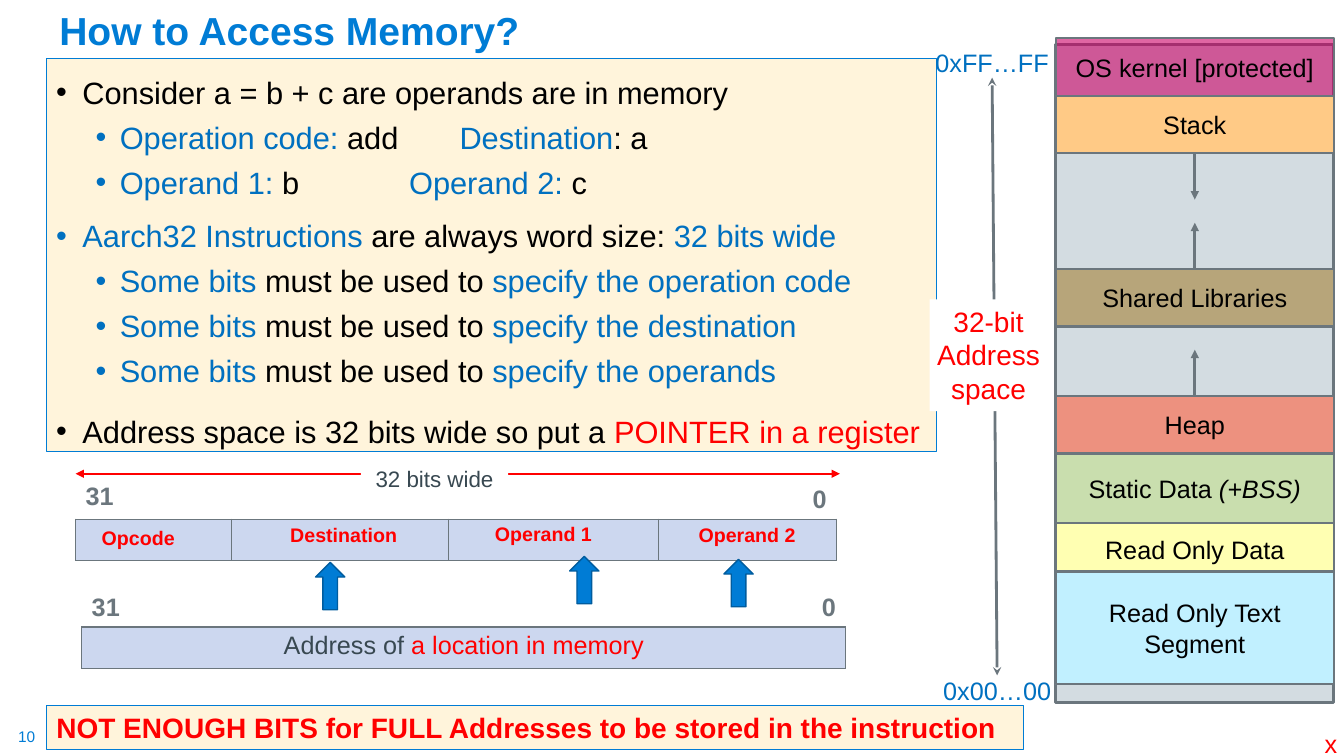
from lxml import etree
from pptx import Presentation
from pptx.dml.color import RGBColor
from pptx.enum.shapes import MSO_CONNECTOR, MSO_SHAPE
from pptx.enum.text import MSO_ANCHOR, PP_ALIGN
from pptx.oxml import parse_xml
from pptx.oxml.ns import nsdecls, qn
from pptx.util import Inches, Pt

RECT, UP = MSO_SHAPE.RECTANGLE, MSO_SHAPE.UP_ARROW
STRAIGHT = MSO_CONNECTOR.STRAIGHT
TOP, MID, LOW = MSO_ANCHOR.TOP, MSO_ANCHOR.MIDDLE, MSO_ANCHOR.BOTTOM
LEFT, MIDDLE, RIGHT = PP_ALIGN.LEFT, PP_ALIGN.CENTER, PP_ALIGN.RIGHT
FONT = "Arial"
HEX = {
    "white": "FFFFFF", "black": "000000", "red": "FF0000", "blue": "007CD5",
    "navy": "005C9E", "ink": "0070C0", "gray": "6B767D", "slate": "384851",
    "cream": "FFF4DB", "field": "CCD7EF", "gap": "D3DCE1", "kernel": "CC0066",
    "stack": "FFCA86", "libs": "B7A57A", "heap": "ED917F", "data": "C9DEAE",
    "const": "FFFFB2", "code": "C1F0FF",
}


def rgb(name):
    return RGBColor.from_string(HEX[name])


def add_runs(para, runs, size, bold=False, align=LEFT):
    """Add (text, colour) runs to a paragraph."""
    para.alignment = align
    for words, color in runs:
        run = para.add_run()
        run.text = words
        font = run.font
        font.name, font.size, font.bold = FONT, Pt(size), bold
        font.color.rgb = rgb(color)


def set_frame(shape, inset=(0.1, 0.05), anchor=TOP, wrap=True):
    frame = shape.text_frame
    frame.word_wrap, frame.vertical_anchor = wrap, anchor
    frame.margin_left = frame.margin_right = Inches(inset[0])
    frame.margin_top = frame.margin_bottom = Inches(inset[1])
    return frame


def add_text(slide, box, runs, size, bold=False, align=LEFT, **frame):
    shape = slide.shapes.add_textbox(*map(Inches, box))
    para = set_frame(shape, **frame).paragraphs[0]
    add_runs(para, runs, size, bold, align)
    return para


def add_block(slide, box, fill, line=None, width=1, kind=RECT):
    shape = slide.shapes.add_shape(kind, *map(Inches, box))
    shape.shadow.inherit = False
    shape.fill.solid()
    shape.fill.fore_color.rgb = rgb(fill)
    if line:
        shape.line.color.rgb = rgb(line)
        shape.line.width = Pt(width)
    else:
        shape.line.fill.background()
    return shape


def add_arrow(slide, start, end, color, width, head=None, tail=None):
    arrow = slide.shapes.add_connector(STRAIGHT, *map(Inches, start + end))
    arrow.line.color.rgb = rgb(color)
    arrow.line.width = Pt(width)
    line = arrow.line._get_or_add_ln()
    for tag, kind in (("a:headEnd", head), ("a:tailEnd", tail)):
        if kind:
            etree.SubElement(line, qn(tag), type=kind)
    etree.SubElement(arrow._element.spPr, qn("a:effectLst"))


def add_table(slide, box, cols):
    """Add a two-row table: bit numbers above, filled fields below."""
    table = slide.shapes.add_table(2, len(cols), *map(Inches, box)).table
    table.first_row = table.horz_banding = False
    for col, width in zip(table.columns, cols):
        col.width = Inches(width)
    for row, edge in enumerate(("white", "gray")):
        for col in range(len(cols)):
            cell = table.cell(row, col)
            if row:
                cell.fill.solid()
                cell.fill.fore_color.rgb = rgb("field")
            else:
                cell.fill.background()
            props = cell._tc.get_or_add_tcPr()
            for spot, side in enumerate("LRTB"):
                color = HEX["gray" if side == "B" else edge]
                props.insert(spot, parse_xml(
                    f'<a:ln{side} {nsdecls("a")} w="12700"><a:solidFill>'
                    f'<a:srgbClr val="{color}"/></a:solidFill></a:ln{side}>'))
    return table


def fill_cell(cell, runs, align=LEFT, anchor=TOP, bold=True):
    cell.vertical_anchor = anchor
    add_runs(cell.text_frame.paragraphs[0], runs, 18, bold, align)


def add_body(slide, box):
    shape = add_block(slide, box, "cream", "blue", 0.75)
    frame = set_frame(shape, inset=(0.1, 0.08))
    bits = [(1, 1, [("Some bits ", "ink"), ("must be used to ", "black"),
                    ("specify the " + part, "ink")])
            for part in ("operation code", "destination", "operands")]
    lines = [
        (0, 1.2, [("Consider a = b + c are operands are in memory", "black")]),
        (1, 1, [("Operation code: ", "ink"), ("add \t\t", "black"),
                ("Destination", "ink"), (": a", "black")]),
        (1, 1, [("Operand 1: ", "ink"), ("b\t\t\t", "black"),
                ("Operand 2: ", "ink"), ("c", "black")]),
        (0, 1, [("Aarch32 Instructions ", "ink"),
                ("are always word size: ", "black"), ("32 bits wide", "ink")]),
        *bits,
        (0, 1.2, [("Address space is 32 bits wide so put a ", "black"),
                  ("POINTER in a register", "red")]),
    ]
    for row, (level, lead, runs) in enumerate(lines):
        para = frame.add_paragraph() if row else frame.paragraphs[0]
        left, hang = ((0.26, -0.26), (0.63, -0.24))[level]
        para.level, para.line_spacing = level, lead
        para.space_before = Pt((11.5, 5.75)[level] if row else 0)
        props = para._p.get_or_add_pPr()
        props.set("marL", str(Inches(left)))
        props.set("indent", str(Inches(hang)))
        etree.SubElement(props, qn("a:buFont"), typeface=FONT)
        etree.SubElement(props, qn("a:buChar"), char="•")
        add_runs(para, runs, 22)


def add_word(slide, x, y):
    """Draw the instruction word and the address that does not fit in it."""
    top = add_table(slide, (x, y, 7.55, 0.82), (1.55, 2.15, 0.39, 1.69, 1.77))
    for row, first, last in ((0, 0, 2), (0, 3, 4), (1, 2, 3)):
        top.cell(row, first).merge(top.cell(row, last))
    low = add_table(slide, (x + 0.06, y + 1.07, 7.58, 0.82), (3.79, 3.79))
    low.cell(1, 0).merge(low.cell(1, 1))
    fill_cell(top.cell(0, 0), [("31", "gray")])
    fill_cell(top.cell(0, 3), [("0", "gray")], RIGHT, LOW)
    fill_cell(low.cell(0, 0), [("31", "gray")], anchor=LOW)
    fill_cell(low.cell(0, 1), [("0", "gray")], RIGHT, LOW)
    fill_cell(low.cell(1, 0), [("Address of ", "slate"),
                               ("a location in memory", "red")], MIDDLE, bold=False)

    for name, dx, dy in (("Opcode", 0.16, 0.43), ("Destination", 2.03, 0.4),
                         ("Operand 1", 4.06, 0.39), ("Operand 2", 6.08, 0.4)):
        add_text(slide, (x + dx, y + dy, 1.46, 0.34), [(name, "red")], 14, True)
    for dx, dy in ((2.38, 0.84), (4.9, 0.78), (6.43, 0.81)):
        add_block(slide, (x + dx, y + dy, 0.29, 0.47), "blue", "navy", kind=UP)

    add_arrow(slide, (x, y - 0.04), (x + 7.58, y - 0.04), "red", 1.5,
              "triangle", "triangle")
    label = add_block(slide, (x + 2.83, y - 0.17, 1.46, 0.37), "white")
    add_runs(set_frame(label).paragraphs[0], [("32 bits wide", "slate")], 16,
             align=MIDDLE)


def add_range(slide, x, y):
    """Draw the address range beside the memory map."""
    for words, dx, dy, wide in (("0xFF…FF", 0, 0, 1.4), ("0x00…00", 0.1, 6.23, 1.3)):
        add_text(slide, (x + dx, y + dy, wide, 0.3), [(words, "ink")], 18,
                 align=MIDDLE, inset=(0.1, 0))
    add_arrow(slide, (x + 0.7, y + 0.3), (x + 0.75, y + 6.23), "gray", 2,
              "stealth", "stealth")
    label = add_block(slide, (x + 0.08, y + 2.5, 1.17, 1.11), "white")
    add_runs(set_frame(label, inset=(0.05, 0.05)).paragraphs[0],
             [("32-bit Address space", "red")], 20, align=MIDDLE)


def add_map(slide, x, y, wide):
    add_block(slide, (x, y + 0.06, wide, 6.53), "gap", "gray", 2)
    parts = (
        ("OS kernel [protected]", "kernel", 0, 0.57), ("Stack", "stack", 0.57, 0.57),
        ("Heap", "heap", 3.55, 0.57), ("Static Data", "data", 4.12, 0.69),
        ("Shared Libraries", "libs", 2.29, 0.57),
        ("Read Only Data", "const", 4.81, 0.52),
        ("Read Only Text Segment", "code", 5.29, 1.12),
    )
    for name, fill, dy, high in parts:
        part = add_block(slide, (x, y + dy, wide, high), fill, "gray", 1.5)
        para = set_frame(part, anchor=MID).paragraphs[0]
        add_runs(para, [(name, "black")], 18, align=MIDDLE)
        if fill == "kernel":
            tint = part._element.spPr.find(qn("a:solidFill"))[0]
            etree.SubElement(tint, qn("a:alpha"), val="60000")
        if fill == "data":
            add_runs(para, [(" (+BSS)", "black")], 18, align=MIDDLE)
            para.runs[-1].font.italic = True
    mid = x + wide / 2
    for dy, head, tail in ((1.14, None, "triangle"), (1.83, "triangle", None),
                           (3.09, "triangle", None)):
        add_arrow(slide, (mid, y + dy), (mid, y + dy + 0.46), "gray", 2, head, tail)


def main():
    deck = Presentation()
    deck.slide_width, deck.slide_height = Inches(13.33), Inches(7.5)
    slide = deck.slides.add_slide(deck.slide_layouts[6])
    add_text(slide, (0.18, 7.21, 0.19, 0.19), [("10", "blue")], 11,
             inset=(0, 0), wrap=False)
    title = add_text(slide, (0.49, 0.04, 11.5, 0.54),
                     [("How to Access Memory?", "blue")], 27.9, True, anchor=LOW)
    title.line_spacing = 0.9
    add_body(slide, (0.46, 0.58, 8.83, 3.9))
    add_word(slide, 0.75, 4.74)
    note = add_block(slide, (0.46, 7, 9.69, 0.44), "cream", "blue", 0.75)
    add_runs(set_frame(note).paragraphs[0], [(
        "NOT ENOUGH BITS for FULL Addresses to be stored in the instruction",
        "red")], 20, True)
    add_text(slide, (13.04, 7.18, 0.33, 0.4), [("x", "red")], 18, wrap=False)
    add_range(slide, 9.14, 0.47)
    add_map(slide, 10.47, 0.38, 2.76)
    deck.save("out.pptx")


if __name__ == "__main__":
    main()
